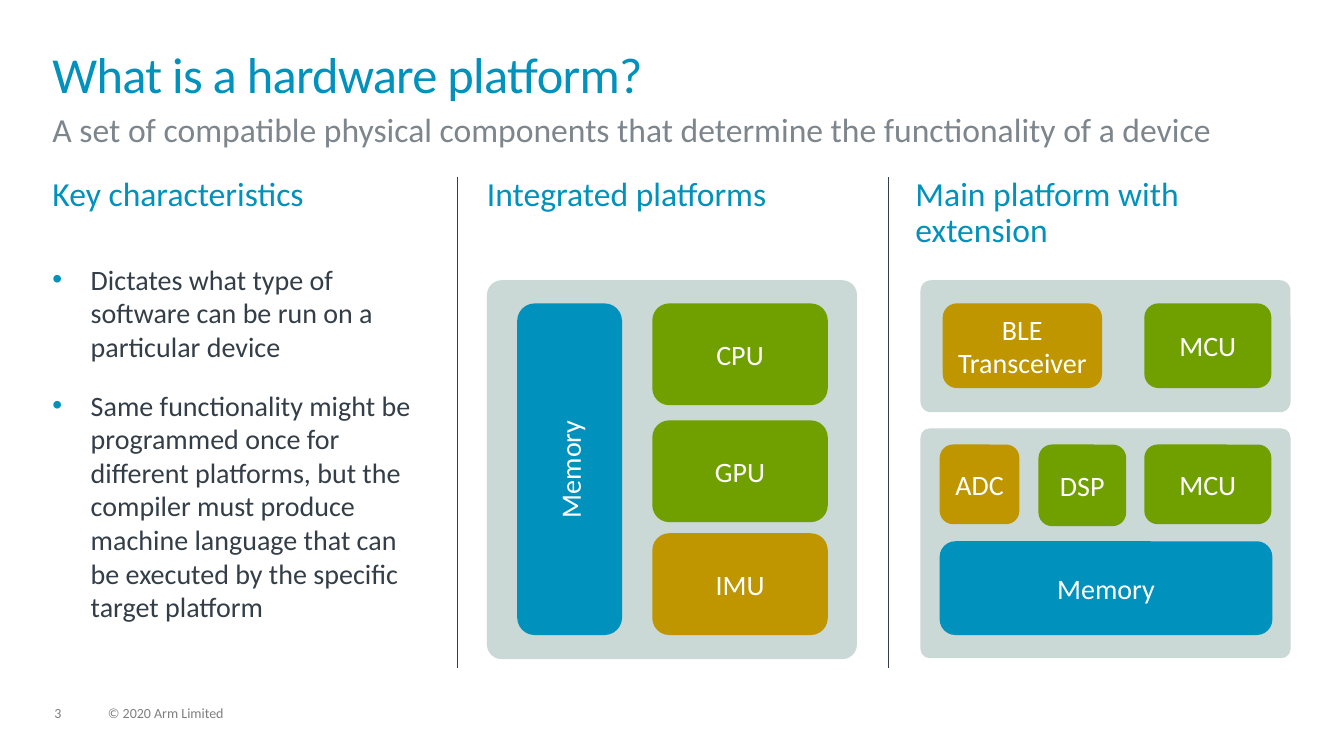
"""Build the slide explaining what a hardware platform is."""
import lxml.etree
import pptx
import pptx.dml.color
import pptx.enum.shapes
import pptx.enum.text
import pptx.oxml.ns
import pptx.util

PX = 9144
FONT = "Calibri"
BLUE, GREEN, GOLD = "0091BD", "70A000", "BF9500"
PANEL, WHITE, DARK = "CAD8D6", "FFFFFF", "333E48"
GREY, MUTED = "7D868C", "7F7F7F"

TITLE = "What is a hardware platform?"
SUBTITLE = "A set of compatible physical components that determine the functionality of a device"
HEADINGS = [
    ("Key characteristics", 52, 369),
    ("Integrated platforms", 483, 367),
    ("Main platform with extension", 908, 373),
]
CHARACTERISTICS = [
    "Dictates what type of software can be run on a particular device",
    "Same functionality might be programmed once for different platforms, but the "
    "compiler must produce machine language that can be executed by the specific target platform",
]
FOOTERS = [("3", 54, 34), ("© 2020 Arm Limited", 107, 171)]
DIVIDERS = [454, 881]
PANELS = [
    ((483, 278, 367, 376), 0.04),
    ((913, 425, 367, 228), 0.04),
    ((913, 278, 367, 131), 0.08),
]
COMPONENTS = [
    ("Memory", BLUE, (513, 301, 104, 329)),
    ("CPU", GREEN, (647, 301, 174, 101)),
    ("GPU", GREEN, (647, 417, 174, 101)),
    ("IMU", GOLD, (647, 529, 174, 101)),
    ("BLE Transceiver", GOLD, (935, 301, 158, 84)),
    ("MCU", GREEN, (1135, 301, 126, 84)),
    ("ADC", GOLD, (932, 441, 79, 79)),
    ("DSP", GREEN, (1030, 441, 87, 81)),
    ("MCU", GREEN, (1135, 441, 126, 79)),
    ("Memory", BLUE, (932, 537, 330, 93)),
]


def color(value):
    """Turn a hex string into a colour."""
    return pptx.dml.color.RGBColor.from_string(value)


def emu(box):
    """Scale px lengths to EMU."""
    return [length * PX for length in box]


def style(paragraph, size, value, spacing=1.0, after=0, align="LEFT"):
    """Format a paragraph and its runs."""
    paragraph.alignment = getattr(pptx.enum.text.PP_ALIGN, align)
    paragraph.line_spacing = spacing
    paragraph.space_before = pptx.util.Pt(0)
    paragraph.space_after = pptx.util.Pt(after)
    for run in paragraph.runs:
        run.font.name = FONT
        run.font.size = pptx.util.Pt(size)
        run.font.color.rgb = color(value)


def clear_margins(frame):
    """Wrap text at the exact edges of its frame."""
    frame.word_wrap = True
    frame.auto_size = pptx.enum.text.MSO_AUTO_SIZE.NONE
    frame.vertical_anchor = pptx.enum.text.MSO_ANCHOR.TOP
    frame.margin_left = frame.margin_right = frame.margin_top = frame.margin_bottom = 0


def add_text(slide, text, box, size, value, spacing=1.0, after=0):
    """Add a text box and return its frame."""
    frame = slide.shapes.add_textbox(*emu(box)).text_frame
    clear_margins(frame)
    frame.text = text
    for paragraph in frame.paragraphs:
        style(paragraph, size, value, spacing, after)
    return frame


def add_bullet(paragraph):
    """Give a paragraph a hanging blue bullet."""
    properties = paragraph._p.get_or_add_pPr()
    properties.set("marL", str(38 * PX))
    properties.set("indent", str(-38 * PX))
    qn = pptx.oxml.ns.qn
    bullet_color = lxml.etree.SubElement(properties, qn("a:buClr"))
    lxml.etree.SubElement(bullet_color, qn("a:srgbClr")).set("val", BLUE)
    lxml.etree.SubElement(properties, qn("a:buFont")).set("typeface", "Arial")
    lxml.etree.SubElement(properties, qn("a:buChar")).set("char", "•")


def add_rounded(slide, box, fill):
    """Add a plain rounded rectangle."""
    rounded = slide.shapes.add_shape(
        pptx.enum.shapes.MSO_SHAPE.ROUNDED_RECTANGLE, *emu(box))
    rounded.shadow.inherit = False
    rounded.fill.solid()
    rounded.fill.fore_color.rgb = color(fill)
    rounded.line.fill.background()
    return rounded


def add_component(slide, label, fill, box):
    """Add a labelled component, turning the label in a tall one."""
    component = add_rounded(slide, box, fill)
    frame = component.text_frame
    frame.word_wrap = True
    frame.vertical_anchor = pptx.enum.text.MSO_ANCHOR.MIDDLE
    frame.text = label
    style(frame.paragraphs[0], 20, WHITE, align="CENTER")
    if box[3] > box[2]:
        component.element.txBody.bodyPr.set("vert", "vert270")


def add_divider(slide, x):
    """Add a thin vertical line between columns."""
    divider = slide.shapes.add_connector(
        pptx.enum.shapes.MSO_CONNECTOR.STRAIGHT, *emu((x, 176, x, 663)))
    divider.line.color.rgb = color(DARK)
    divider.line.width = pptx.util.Pt(0.5)
    lxml.etree.SubElement(divider.element.spPr, pptx.oxml.ns.qn("a:effectLst"))


def main():
    """Lay out the slide and save it."""
    deck = pptx.Presentation()
    deck.slide_width, deck.slide_height = emu((1333, 750))
    slide = deck.slides.add_slide(deck.slide_layouts[5])

    title = slide.shapes.title
    title.left, title.top, title.width, title.height = emu((52, 52, 1228, 56))
    clear_margins(title.text_frame)
    title.text_frame.text = TITLE
    style(title.text_frame.paragraphs[0], 36, BLUE, 0.85)
    title.text_frame.paragraphs[0].runs[0].font._element.set("spc", "-50")

    add_text(slide, SUBTITLE, (52, 108, 1228, 38), 24, GREY)
    for heading, left, width in HEADINGS:
        add_text(slide, heading, (left, 176, width, 61), 24, BLUE, 0.9, 6)
    for footer, left, width in FOOTERS:
        add_text(slide, footer, (left, 701, width, 15), 10, MUTED, 0.9, 6)
    for x in DIVIDERS:
        add_divider(slide, x)

    characteristics = add_text(
        slide, "\n".join(CHARACTERISTICS), (52, 260, 371, 394), 20, DARK, after=18)
    for paragraph in characteristics.paragraphs:
        add_bullet(paragraph)

    for box, corner in PANELS:
        add_rounded(slide, box, PANEL).adjustments[0] = corner
    for label, fill, box in COMPONENTS:
        add_component(slide, label, fill, box)
    deck.save("out.pptx")


if __name__ == "__main__":
    main()
